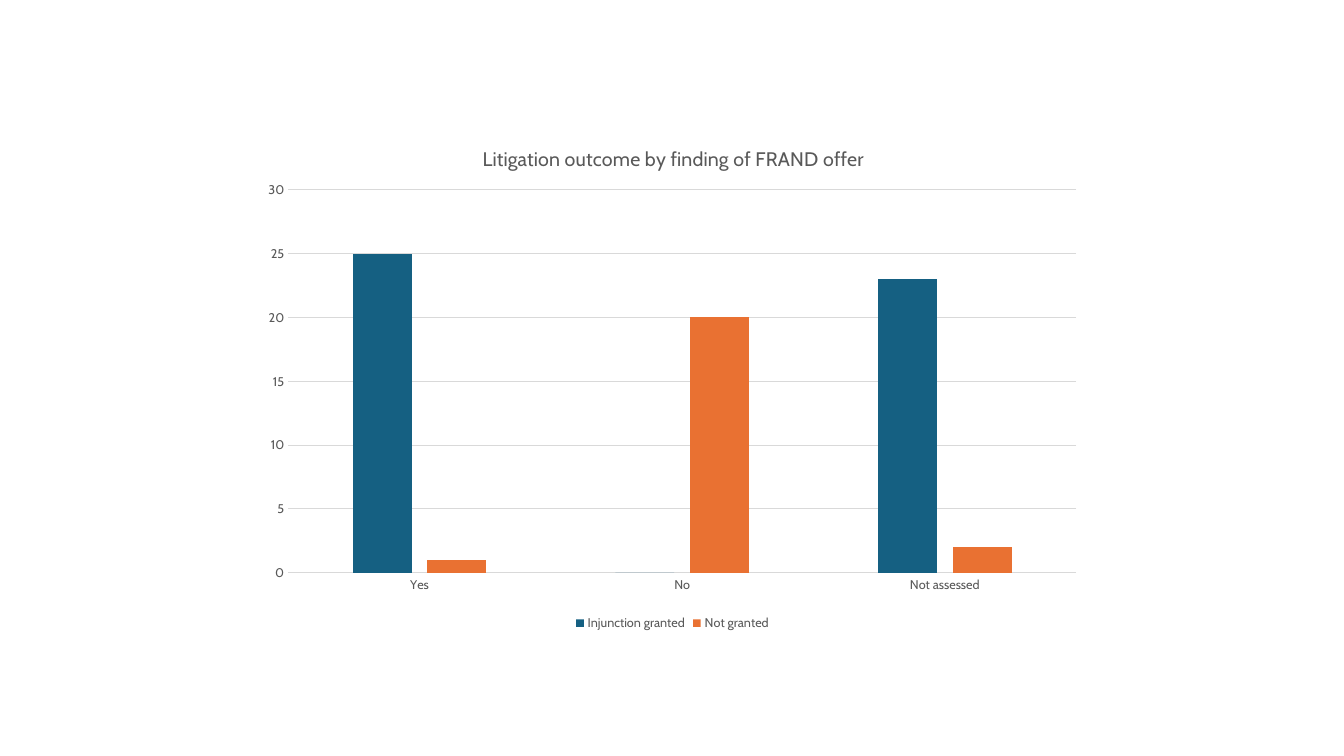
from lxml.etree import SubElement
from pptx import Presentation
from pptx.chart.data import CategoryChartData
from pptx.dml.color import RGBColor
from pptx.enum.chart import XL_CHART_TYPE, XL_LEGEND_POSITION, XL_TICK_MARK
from pptx.oxml.ns import qn
from pptx.util import Inches, Pt

GREY = RGBColor(0x59, 0x59, 0x59)
RULE = RGBColor(0xD9, 0xD9, 0xD9)
BLUE = RGBColor(0x15, 0x60, 0x82)
ORANGE = RGBColor(0xE9, 0x71, 0x32)
FACE = "Cabin"


def style(font, size=9, color=GREY):
    font.name, font.size, font.bold = FACE, Pt(size), False
    font.color.rgb = color


def place(part, index, **marks):
    """Give a chart part a manual layout, in shares of the chart's size."""
    for old in part.findall(qn("c:layout")):
        part.remove(old)
    layout = SubElement(part, qn("c:layout"))
    part.insert(index, layout)
    manual = SubElement(layout, qn("c:manualLayout"))
    for name, mark in marks.items():
        SubElement(manual, qn("c:" + name)).set("val", str(mark))


deck = Presentation()
deck.slide_width, deck.slide_height = Inches(13.33), Inches(7.5)
slide = deck.slides.add_slide(deck.slide_layouts[6])

data = CategoryChartData()
data.categories = ["Yes", "No", "Not assessed"]
data.add_series("Injunction granted", (25, 0, 23))
data.add_series("Not granted", (1, 20, 2))
chart = slide.shapes.add_chart(
    XL_CHART_TYPE.COLUMN_CLUSTERED,
    Inches(2.5), Inches(1.2), Inches(8.34), Inches(5.1), data).chart
style(chart.font, size=10)

# Title
title = chart.chart_title
title.include_in_layout = False
title.text_frame.text = "Litigation outcome by finding of FRAND offer"
style(title.text_frame.paragraphs[0].runs[0].font, size=14)
place(title._element, 1, xMode="edge", yMode="edge", x=0.27, y=0.04)

# Columns
plot = chart.plots[0]
plot.gap_width, plot.overlap = 219, -27
plot.vary_by_categories = False
for series, color in zip(plot.series, (BLUE, ORANGE)):
    series.format.fill.solid()
    series.format.fill.fore_color.rgb = color
    series.invert_if_negative = False
area = chart._chartSpace.chart.plotArea
place(area, 0, layoutTarget="inner", xMode="edge", yMode="edge",
      x=0.043, y=0.134, w=0.937, h=0.745)

# Axes
across, up = chart.category_axis, chart.value_axis
for axis in (across, up):
    axis.major_tick_mark = axis.minor_tick_mark = XL_TICK_MARK.NONE
    style(axis.tick_labels.font)
up.minimum_scale, up.maximum_scale, up.major_unit = 0, 30, 5
up.has_major_gridlines = True
up.format.line.fill.background()
for line in (across.format.line, up.major_gridlines.format.line):
    line.color.rgb = RULE
    line.width = Pt(0.75)

# Legend
chart.has_legend = True
chart.legend.position = XL_LEGEND_POSITION.BOTTOM
chart.legend.include_in_layout = False
style(chart.legend.font)

deck.save("out.pptx")
